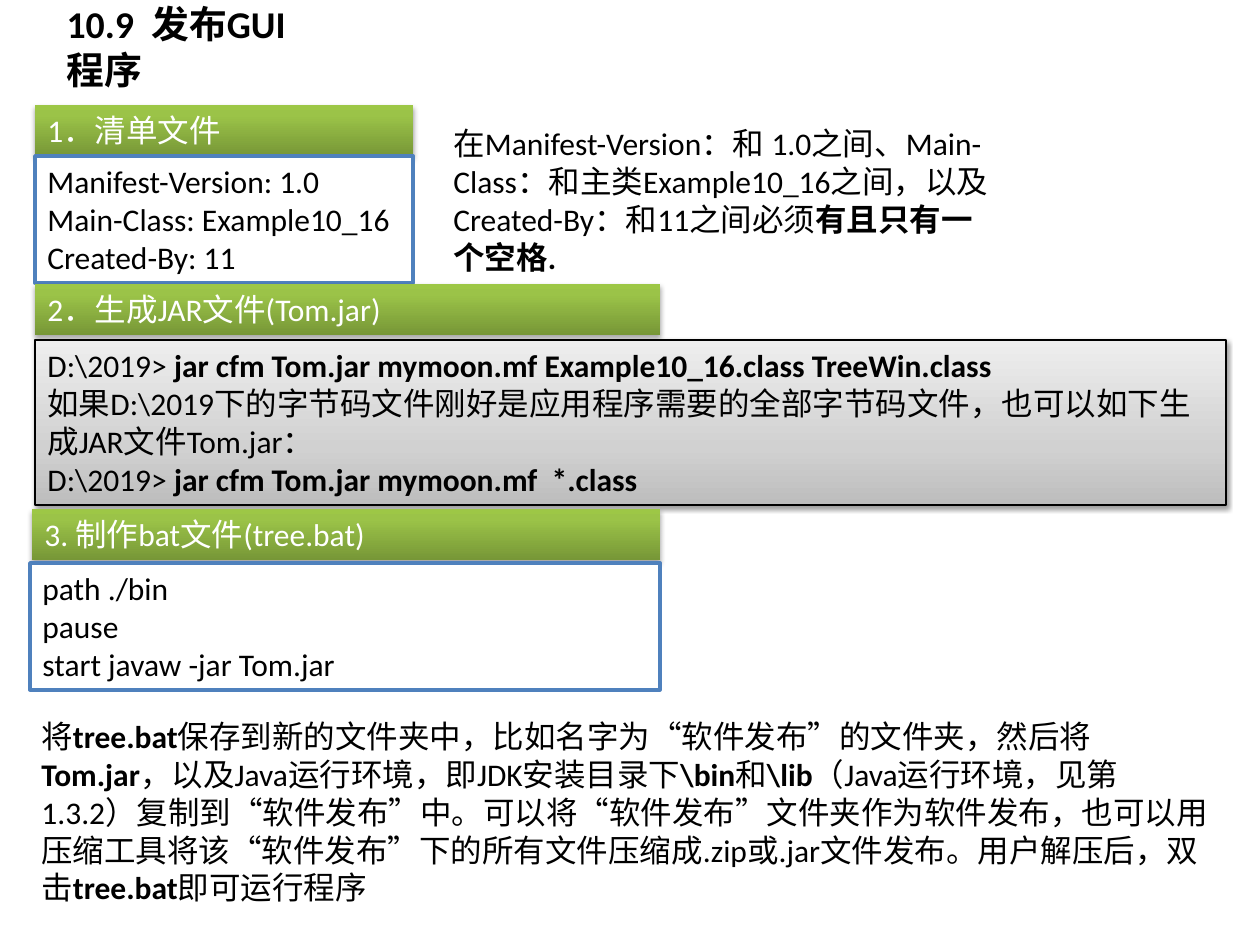
import pptx
import pptx.dml.color
import pptx.enum.shapes
import pptx.enum.text
import pptx.oxml.ns
import pptx.util
from lxml import etree

PX = 914400 // 126
GREEN = [(0, "779737"), (80, "9BC348"), (100, "9DC746")]
GRAY = [(0, "BDBDBD"), (35, "D1D1D1"), (100, "EEEEEE")]
BLUE = "4F81BD"


def color(value):
    return pptx.dml.color.RGBColor.from_string(value)


def add_element(parent, tag, **attributes):
    element = etree.SubElement(parent, pptx.oxml.ns.qn(tag))
    for name, value in attributes.items():
        element.set(name, str(value))
    return element


def write_text(frame, text, size=18, ink="000000", bold=False, anchor="TOP"):
    frame.word_wrap = True
    frame.vertical_anchor = getattr(pptx.enum.text.MSO_ANCHOR, anchor)
    for index, line in enumerate(text.split("\n")):
        paragraph = frame.add_paragraph() if index else frame.paragraphs[0]
        paragraph.alignment = pptx.enum.text.PP_ALIGN.LEFT
        for position, part in enumerate(line.split("|")):
            if part:
                run = paragraph.add_run()
                run.text = part
                run.font.name = "Calibri"
                run.font.size = pptx.util.Pt(size)
                run.font.bold = bold or position % 2 == 1
                run.font.color.rgb = color(ink)


class SlideBuilder:
    """Holds the style and the current slide; text between bars is bold."""

    def __init__(self, presentation):
        self.slide = presentation.slides.add_slide(presentation.slide_layouts[5])

    def place(self, box):
        return [length * PX for length in box]

    def title(self, box, text):
        shape = self.slide.shapes.title
        shape.left, shape.top, shape.width, shape.height = self.place(box)
        write_text(shape.text_frame, text, size=21.6, bold=True, anchor="BOTTOM")
        shape.text_frame.auto_size = pptx.enum.text.MSO_AUTO_SIZE.NONE

    def text(self, box, text):
        shape = self.slide.shapes.add_textbox(*self.place(box))
        write_text(shape.text_frame, text)
        shape.text_frame.auto_size = pptx.enum.text.MSO_AUTO_SIZE.SHAPE_TO_FIT_TEXT

    def rectangle(self, box, text, line=None, line_width=2, **text_format):
        shape = self.slide.shapes.add_shape(
            pptx.enum.shapes.MSO_SHAPE.RECTANGLE, *self.place(box))
        shape.shadow.inherit = False
        shape.fill.solid()
        shape.fill.fore_color.rgb = color("FFFFFF")
        if line:
            shape.line.color.rgb = color(line)
            shape.line.width = pptx.util.Pt(line_width)
        else:
            shape.line.fill.background()
        write_text(shape.text_frame, text, **text_format)
        shape.text_frame.auto_size = pptx.enum.text.MSO_AUTO_SIZE.SHAPE_TO_FIT_TEXT
        return shape

    def gradient_rectangle(self, box, text, stops, alpha, distance, **style):
        shape = self.rectangle(box, text, **style)
        shape.fill.gradient()
        shape.fill.gradient_angle = 90
        properties = shape._element.spPr
        stop_list = properties.find(".//" + pptx.oxml.ns.qn("a:gsLst"))
        for stop in list(stop_list):
            stop_list.remove(stop)
        for position, value in stops:
            stop = add_element(stop_list, "a:gs", pos=position * 1000)
            add_element(stop, "a:srgbClr", val=value)
        effects = properties.find(pptx.oxml.ns.qn("a:effectLst"))
        shadow = add_element(
            effects, "a:outerShdw", blurRad=pptx.util.Pt(3.1),
            dist=pptx.util.Pt(distance), dir=5400000, rotWithShape=0)
        shade = add_element(shadow, "a:srgbClr", val="000000")
        add_element(shade, "a:alpha", val=alpha * 1000)

    def heading(self, box, text):
        self.gradient_rectangle(box, text, GREEN, 35, 1.8, ink="FFFFFF")

    def file_box(self, box, text):
        self.rectangle(box, text, line=BLUE)

    def command_box(self, box, text):
        self.gradient_rectangle(box, text, GRAY, 38, 1.6, line="000000", line_width=0.75)


def main():
    presentation = pptx.Presentation()
    presentation.slide_width = pptx.util.Inches(10)
    presentation.slide_height = pptx.util.Inches(7.5)
    builder = SlideBuilder(presentation)

    builder.title((54, 2, 271, 96), "10.9  发布GUI程序")
    builder.heading((35, 105, 378, 51), "1．清单文件")
    builder.file_box(
        (35, 156, 378, 127),
        "Manifest-Version: 1.0\nMain-Class: Example10_16\nCreated-By: 11")
    builder.heading((35, 284, 625, 51), "2．生成JAR文件(Tom.jar)")
    builder.text(
        (441, 118, 570, 165),
        "在Manifest-Version：和 1.0之间、Main-Class：和主类Example10_16之间，"
        "以及Created-By：和11之间必须|有且只有一个空格.|")
    builder.command_box(
        (35, 340, 1191, 165),
        "D:\\2019> |jar cfm Tom.jar mymoon.mf Example10_16.class TreeWin.class|\n"
        "如果D:\\2019下的字节码文件刚好是应用程序需要的全部字节码文件，"
        "也可以如下生成JAR文件Tom.jar：\n"
        "D:\\2019> |jar cfm Tom.jar mymoon.mf  *.class|")
    builder.heading((32, 509, 628, 51), "3. 制作bat文件(tree.bat)")
    builder.file_box((30, 563, 630, 127), "path ./bin\npause\nstart javaw -jar Tom.jar")
    builder.text(
        (29, 711, 1196, 204),
        "将|tree.bat|保存到新的文件夹中，比如名字为“软件发布”的文件夹，然后将|Tom.jar|，"
        "以及Java运行环境，即JDK安装目录下|\\bin|和|\\lib|（Java运行环境，见第1.3.2）"
        "复制到“软件发布”中。可以将“软件发布”文件夹作为软件发布，"
        "也可以用压缩工具将该“软件发布”下的所有文件压缩成.zip或.jar文件发布。"
        "用户解压后，双击|tree.bat|即可运行程序")
    presentation.save("out.pptx")


if __name__ == "__main__":
    main()
